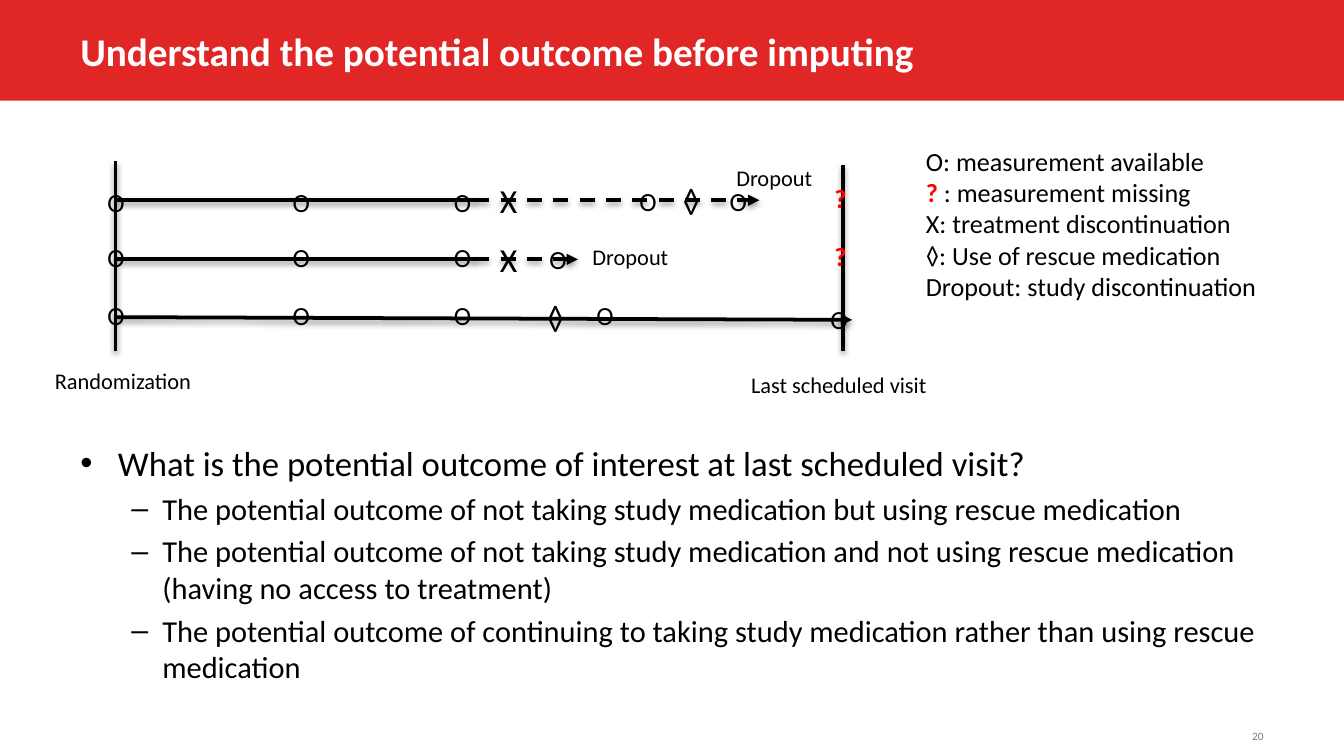
import pptx
import pptx.util
import pptx.dml.color
import pptx.enum.dml
import pptx.enum.shapes
import pptx.enum.text
import pptx.oxml
import pptx.oxml.ns
from lxml import etree

Inches, Pt = pptx.util.Inches, pptx.util.Pt
RGBColor = pptx.dml.color.RGBColor
Anchor, Align = pptx.enum.text.MSO_ANCHOR, pptx.enum.text.PP_ALIGN
FitText = pptx.enum.text.MSO_AUTO_SIZE.SHAPE_TO_FIT_TEXT

BLACK = RGBColor(0, 0, 0)
WHITE = RGBColor(255, 255, 255)
BANNER_RED = RGBColor(0xE1, 0x27, 0x26)
MISSING_RED = RGBColor(255, 0, 0)
PAGE_GREY = RGBColor(0x86, 0x78, 0x6F)

# Content
TITLE = "Understand the potential outcome before imputing"
QUESTION = "What is the potential outcome of interest at last scheduled visit?"
OUTCOMES = [
    "The potential outcome of not taking study medication but using rescue medication",
    "The potential outcome of not taking study medication and not using rescue medication "
    "(having no access to treatment)",
    "The potential outcome of continuing to taking study medication rather than using rescue "
    "medication",
]
LEGEND = [
    [("O: measurement available", {})],
    [("? ", {"bold": True, "color": MISSING_RED}), (": measurement missing", {})],
    [("X: treatment discontinuation", {})],
    [("◊: Use of rescue medication", {})],
    [("Dropout: study discontinuation", {})],
]

# Timeline: start, treatment stop, and the visit axes (x, top, bottom)
START, STOP = 0.86, 3.53
AXES = [(START, 1.2, 2.61), (6.27, 1.23, 2.61)]
# Solid and dashed parts as (x1, y1, x2, y2, dashed, arrow)
PATIENT_LINES = [
    (START, 1.49, STOP, 1.49, False, False),
    (STOP, 1.49, 5.65, 1.49, True, True),
    (START, 1.93, STOP, 1.93, False, False),
    (STOP, 1.93, 4.3, 1.93, True, True),
    (START, 2.36, 6.34, 2.38, False, True),
]
# Per symbol: box width, height and text format
SYMBOLS = {
    "O": (0.33, 0.34, {"size": 14}),
    "X": (0.31, 0.4, {"size": 18}),
    "◊": (0.25, 0.4, {"size": 18}),
    "?": (0.3, 0.34, {"size": 14, "bold": True, "color": MISSING_RED}),
}
# Per patient: (symbol, left, top)
VISITS = (0.7, 2.08, 3.28)
EVENTS = [
    [("O", x, 1.34) for x in VISITS]
    + [("X", 3.62, 1.29), ("O", 4.66, 1.33), ("◊", 4.98, 1.29), ("O", 5.33, 1.33),
       ("?", 6.11, 1.31)],
    [("O", x, 1.75) for x in VISITS]
    + [("X", 3.62, 1.73), ("O", 3.99, 1.76), ("?", 6.11, 1.74)],
    [("O", x, 2.18) for x in VISITS]
    + [("◊", 3.97, 2.16), ("O", 4.34, 2.18), ("O", 6.08, 2.21)],
]
LABELS = [
    ("Dropout", 5.38, 1.17, 1.11),
    ("Dropout", 4.31, 1.76, 1.11),
    ("Randomization", 0.31, 2.68, 1.38),
    ("Last scheduled visit", 5.49, 2.71, 1.6),
]

# Widescreen slide, 16:9
deck = pptx.Presentation()
deck.slide_width = Inches(10)
deck.slide_height = deck.slide_width * 9 // 16
slide = deck.slides.add_slide(deck.slide_layouts[6])


def add_run(paragraph, text, size, color=BLACK, bold=False):
    run = paragraph.add_run()
    run.text = text
    for name, value in {"name": "Calibri", "size": Pt(size), "bold": bold}.items():
        setattr(run.font, name, value)
    run.font.color.rgb = color


def add_frame(left, top, width, height, **settings):
    frame = slide.shapes.add_textbox(*map(Inches, (left, top, width, height))).text_frame
    for name, value in {"word_wrap": True, **settings}.items():
        setattr(frame, name, value)
    return frame


def add_label(text, left, top, width, height, text_format, align=Align.LEFT, **settings):
    paragraph = add_frame(left, top, width, height, **settings).paragraphs[0]
    paragraph.alignment = align
    add_run(paragraph, text, **text_format)


def add_line(x1, y1, x2, y2, dashed=False, arrow=False):
    connector = slide.shapes.add_connector(
        pptx.enum.shapes.MSO_CONNECTOR.STRAIGHT, *map(Inches, (x1, y1, x2, y2)))
    connector.line.color.rgb = BLACK
    connector.line.width = Pt(2)
    if dashed:
        connector.line.dash_style = pptx.enum.dml.MSO_LINE.DASH
    outline = connector._element.spPr.find(pptx.oxml.ns.qn("a:ln"))
    if arrow:
        etree.SubElement(outline, pptx.oxml.ns.qn("a:tailEnd"), type="triangle")
    # Soft shadow just below the line
    outline.addnext(pptx.oxml.parse_xml(
        f'<a:effectLst {pptx.oxml.ns.nsdecls("a")}>'
        f'<a:outerShdw blurRad="{Pt(3.1)}" dist="{Pt(1.6)}" dir="5400000" rotWithShape="0">'
        '<a:srgbClr val="000000"><a:alpha val="38000"/></a:srgbClr>'
        '</a:outerShdw></a:effectLst>'))


def add_bullet(paragraph, text, mark, size, indent, hang):
    add_run(paragraph, text, size)
    paragraph.space_before = Pt(round(size * 0.2, 1))
    properties = paragraph._p.get_or_add_pPr()
    properties.set("marL", str(Inches(indent)))
    properties.set("indent", str(-Inches(hang)))
    etree.SubElement(properties, pptx.oxml.ns.qn("a:buFont"), typeface="Arial")
    etree.SubElement(properties, pptx.oxml.ns.qn("a:buChar"), char=mark)


# Title banner
banner = slide.shapes.add_shape(
    pptx.enum.shapes.MSO_SHAPE.RECTANGLE, 0, 0, Inches(10), Inches(0.75))
banner.shadow.inherit = False
banner.fill.solid()
banner.fill.fore_color.rgb = BANNER_RED
banner.line.fill.background()
add_label(TITLE, 0.5, 0.04, 9.1, 0.68, {"size": 21, "color": WHITE, "bold": True},
          vertical_anchor=Anchor.MIDDLE)

# Question and possible outcomes
body = add_frame(0.5, 3.24, 9, 1.68)
add_bullet(body.paragraphs[0], QUESTION, "•", 18.6, 0.28, 0.28)
for outcome in OUTCOMES:
    outcome_line = body.add_paragraph()
    outcome_line.level = 1
    add_bullet(outcome_line, outcome, "–", 16.3, 0.61, 0.23)

# Patient timelines
for x, top, bottom in AXES:
    add_line(x, top, x, bottom)
for patient_line in PATIENT_LINES:
    add_line(*patient_line)
for patient_events in EVENTS:
    for symbol, left, top in patient_events:
        width, height, symbol_format = SYMBOLS[symbol]
        add_label(symbol, left, top, width, height, symbol_format, auto_size=FitText)
for text, left, top, width in LABELS:
    add_label(text, left, top, width, 0.3, {"size": 12}, auto_size=FitText)

# Legend
legend = add_frame(6.79, 1.03, 3.15, 1.28, auto_size=FitText)
for index, entry in enumerate(LEGEND):
    entry_line = legend.add_paragraph() if index else legend.paragraphs[0]
    for text, text_format in entry:
        add_run(entry_line, text, 14, **text_format)

# Page number
add_label("20", 7.17, 5.4, 2.33, 0.15, {"size": 6, "color": PAGE_GREY},
          align=Align.RIGHT, vertical_anchor=Anchor.MIDDLE)

deck.save("out.pptx")
